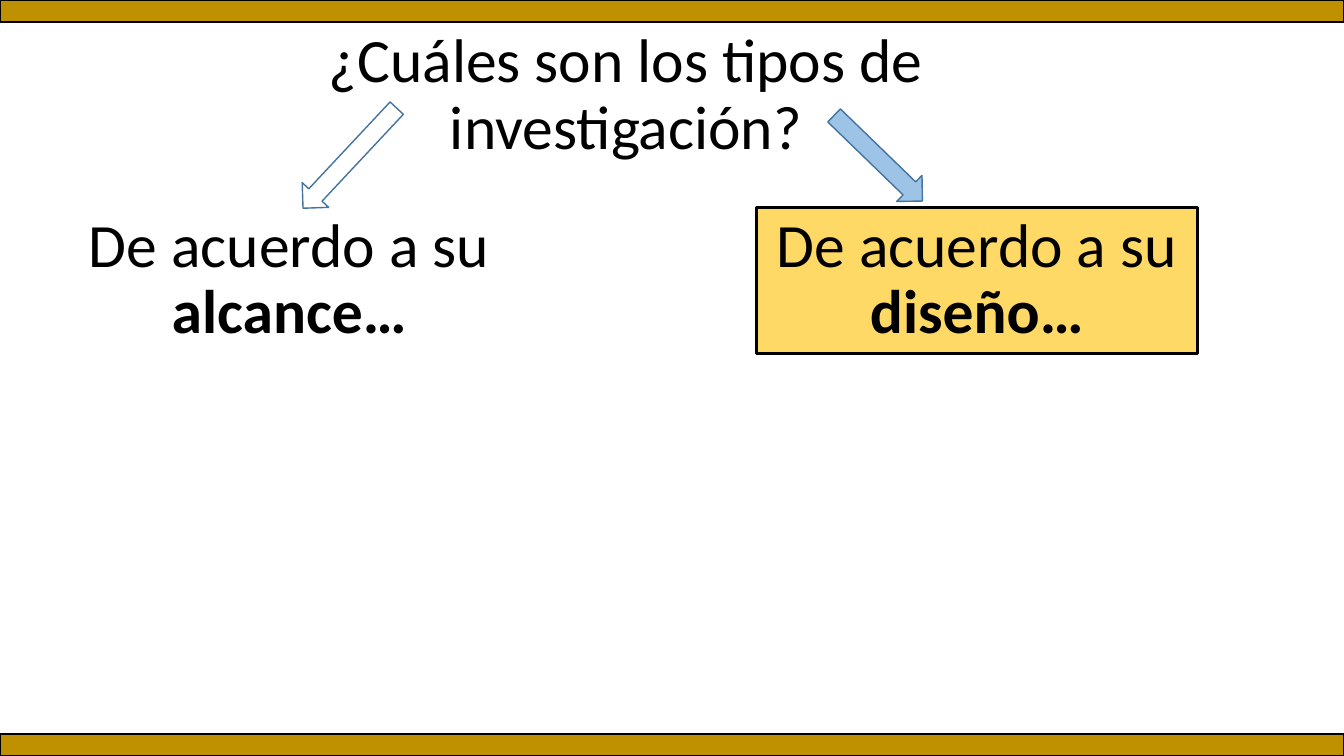
from pptx import Presentation
from pptx.util import Inches, Pt
from pptx.dml.color import RGBColor
from pptx.enum import shapes, text

# Content
TITLE = "¿Cuáles son los tipos de investigación?"
LEAD = "De acuerdo a su "
COLORS = {"black": "000000", "gold": "BF9000", "yellow": "FFD966",
          "blue": "9DC3E6", "edge": "43739E"}
KINDS = shapes.MSO_SHAPE
WIDE, HIGH, BAR = 13.33, 7.5, 0.22
TOP, BOX_W, BOX_H = 2.06, 4.38, 1.45

# Last word, left edge, fill, line
TYPES = [("alcance…", 0.68, None, None),
         ("diseño…", 7.5, "yellow", "black")]
# Kind, place, turn, fill
ARROWS = [(KINDS.DOWN_ARROW, (3.29, 0.89, 0.36, 1.36), 43.1, None),
          (KINDS.RIGHT_ARROW, (8.1, 1.39, 1.22, 0.36), 44.1, "blue")]


def color(name):
    return RGBColor.from_string(COLORS[name])


def write(shape, *runs, size=44, font="Calibri", ink="black"):
    """Each run is a pair of words and boldness."""
    frame = shape.text_frame
    frame.word_wrap = True
    frame.auto_size = text.MSO_AUTO_SIZE.NONE
    frame.vertical_anchor = text.MSO_ANCHOR.MIDDLE
    para = frame.paragraphs[0]
    para.alignment = text.PP_ALIGN.CENTER
    para.line_spacing = 0.9
    for words, bold in runs:
        run = para.add_run()
        run.text = words
        run.font.size, run.font.name, run.font.bold = Pt(size), font, bold
        run.font.color.rgb = color(ink)


def draw(kind, place, fill=None, line=None, width=1, turn=0):
    shape = slide.shapes.add_shape(kind, *map(Inches, place))
    shape.shadow.inherit = False
    shape.rotation = turn
    if fill:
        shape.fill.solid()
        shape.fill.fore_color.rgb = color(fill)
    else:
        shape.fill.background()
    if line:
        shape.line.color.rgb = color(line)
        shape.line.width = Pt(width)
    else:
        shape.line.fill.background()
    return shape


deck = Presentation()
deck.slide_width, deck.slide_height = Inches(WIDE), Inches(HIGH)
slide = deck.slides.add_slide(deck.slide_layouts[5])

# Title
title = slide.shapes.title
title.left, title.top = Inches(1.9), Inches(0.23)
title.width, title.height = Inches(8.62), Inches(BOX_H)
write(title, (TITLE, False))

# Types of research
for word, left, fill, line in TYPES:
    place = (left, TOP, BOX_W, BOX_H)
    if fill:
        box = draw(KINDS.RECTANGLE, place, fill, line, 2.25)
    else:
        box = slide.shapes.add_textbox(*map(Inches, place))
    write(box, (LEAD, False), (word, True))

# Arrows from the title
for kind, place, turn, fill in ARROWS:
    draw(kind, place, fill, "edge", turn=turn)

# Bars at top and bottom
for top in (0, HIGH - BAR):
    draw(KINDS.RECTANGLE, (0, top, WIDE, BAR), "gold", "black")

deck.save("out.pptx")
